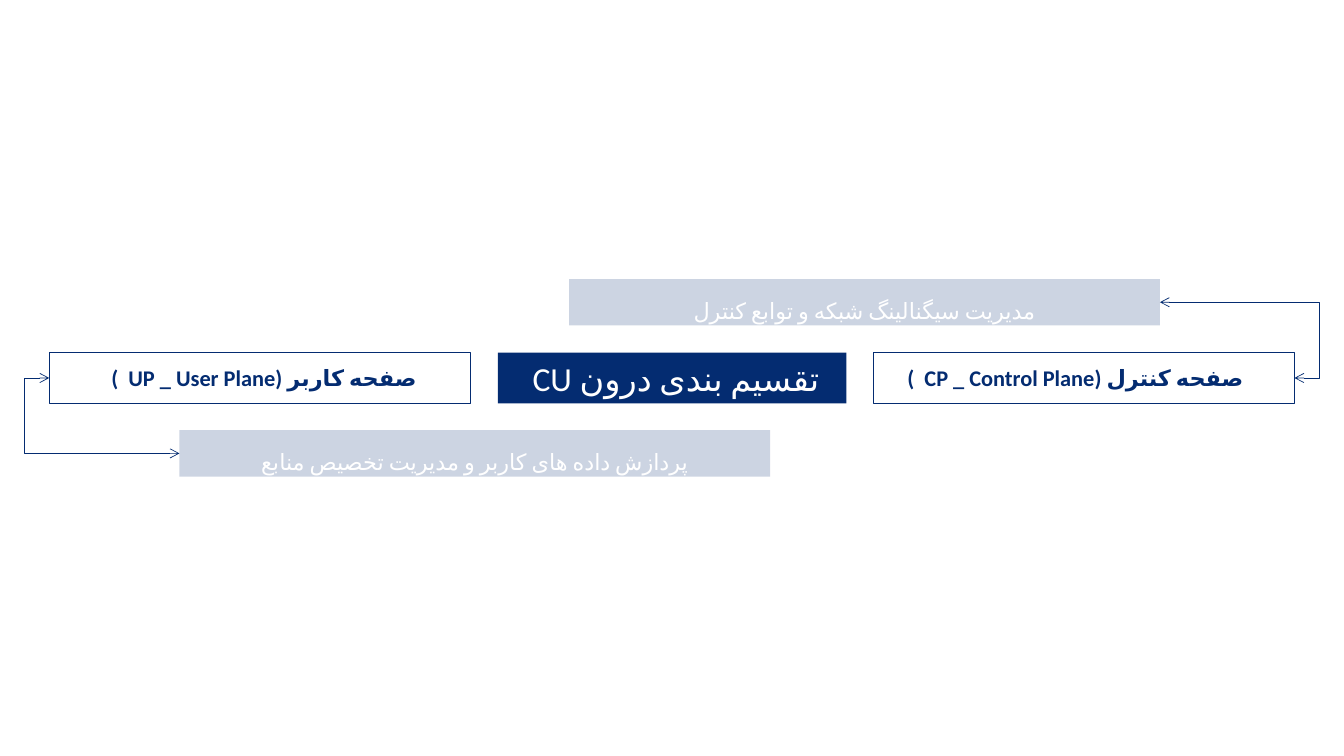
import pptx
import pptx.util
import pptx.dml.color
import pptx.enum.shapes
import pptx.enum.text
import pptx.oxml
import pptx.oxml.ns
from lxml import etree

Pt = pptx.util.Pt
qn = pptx.oxml.ns.qn
NAVY = "042C71"
WHITE = "FFFFFF"


def rgb(value):
    return pptx.dml.color.RGBColor.from_string(value)


def write(sp, text, size, color, bold=False, spacing=None):
    tf = sp.text_frame
    tf.word_wrap = True
    tf.vertical_anchor = pptx.enum.text.MSO_ANCHOR.TOP
    tf.auto_size = pptx.enum.text.MSO_AUTO_SIZE.SHAPE_TO_FIT_TEXT
    tf.text = text
    p = tf.paragraphs[0]
    p.alignment = pptx.enum.text.PP_ALIGN.CENTER
    p.line_spacing = spacing
    p._p.get_or_add_pPr().set("rtl", "1")
    r = p.runs[0]
    r.font.name = "Calibri"
    r.font.size = Pt(size)
    r.font.bold = bold
    r.font.color.rgb = rgb(color)
    rPr = r._r.get_or_add_rPr()
    rPr.set("lang", "fa-IR")
    etree.SubElement(rPr, qn("a:cs")).set("typeface", "Calibri")


prs = pptx.Presentation()
prs.slide_width = Pt(960)
prs.slide_height = Pt(540)
s = prs.slides.add_slide(prs.slide_layouts[6])
rect = pptx.enum.shapes.MSO_SHAPE.RECTANGLE

title = s.shapes.add_shape(rect, Pt(355.6), Pt(251.9), Pt(249), Pt(36.3))
title.shadow.inherit = False
title.fill.solid()
title.fill.fore_color.rgb = rgb(NAVY)
title.line.fill.background()
write(title, "تقسیم بندی درون CU ", 24, WHITE)

for left, top, text in [
    (406.6, 199.3, "مدیریت سیگنالینگ شبکه و توابع کنترل"),
    (128.2, 307.3, "پردازش داده های کاربر و مدیریت تخصیص منابع"),
]:
    bar = s.shapes.add_shape(rect, Pt(left), Pt(top), Pt(422), Pt(33.2))
    bar.shadow.inherit = False
    bar.fill.solid()
    bar.fill.fore_color.rgb = rgb(NAVY)
    color = bar.fill._xPr.find(qn("a:solidFill"))[0]
    etree.SubElement(color, qn("a:alpha")).set("val", "20000")
    bar.line.fill.background()
    write(bar, text, 16, WHITE, spacing=1.5)

for frame_left, label_left, text in [
    (623.9, 617.8, "صفحه کنترل (CP _ Control Plane  )"),
    (35.2, 38.2, "صفحه کاربر (UP _ User Plane  )"),
]:
    frame = s.shapes.add_shape(rect, Pt(frame_left), Pt(251.9), Pt(300.8), Pt(36.3))
    frame.shadow.inherit = False
    frame.fill.background()
    frame.line.color.rgb = rgb(NAVY)
    frame.line.width = Pt(1)
    label = s.shapes.add_textbox(Pt(label_left), Pt(256.6), Pt(300.8), Pt(26.7))
    write(label, text, 16, NAVY, bold=True)

for x1, y1, x2, y2, bend in [
    (924.7, 270, 828.6, 215.9, 942.8),
    (128.2, 323.9, 35.2, 270, 17.2),
]:
    link = s.shapes.add_connector(
        pptx.enum.shapes.MSO_CONNECTOR.ELBOW, Pt(x1), Pt(y1), Pt(x2), Pt(y2)
    )
    link.line.color.rgb = rgb(NAVY)
    link.line.width = Pt(0.5)
    guides = link._element.spPr.find(qn("a:prstGeom")).find(qn("a:avLst"))
    guide = etree.SubElement(guides, qn("a:gd"))
    guide.set("name", "adj1")
    guide.set("fmla", f"val {round((bend - x1) / (x2 - x1) * 100000)}")
    ln = link.line._get_or_add_ln()
    for end in ("a:headEnd", "a:tailEnd"):
        etree.SubElement(ln, qn(end)).set("type", "arrow")
    etree.SubElement(link._element.spPr, qn("a:effectLst"))

prs.save("out.pptx")
